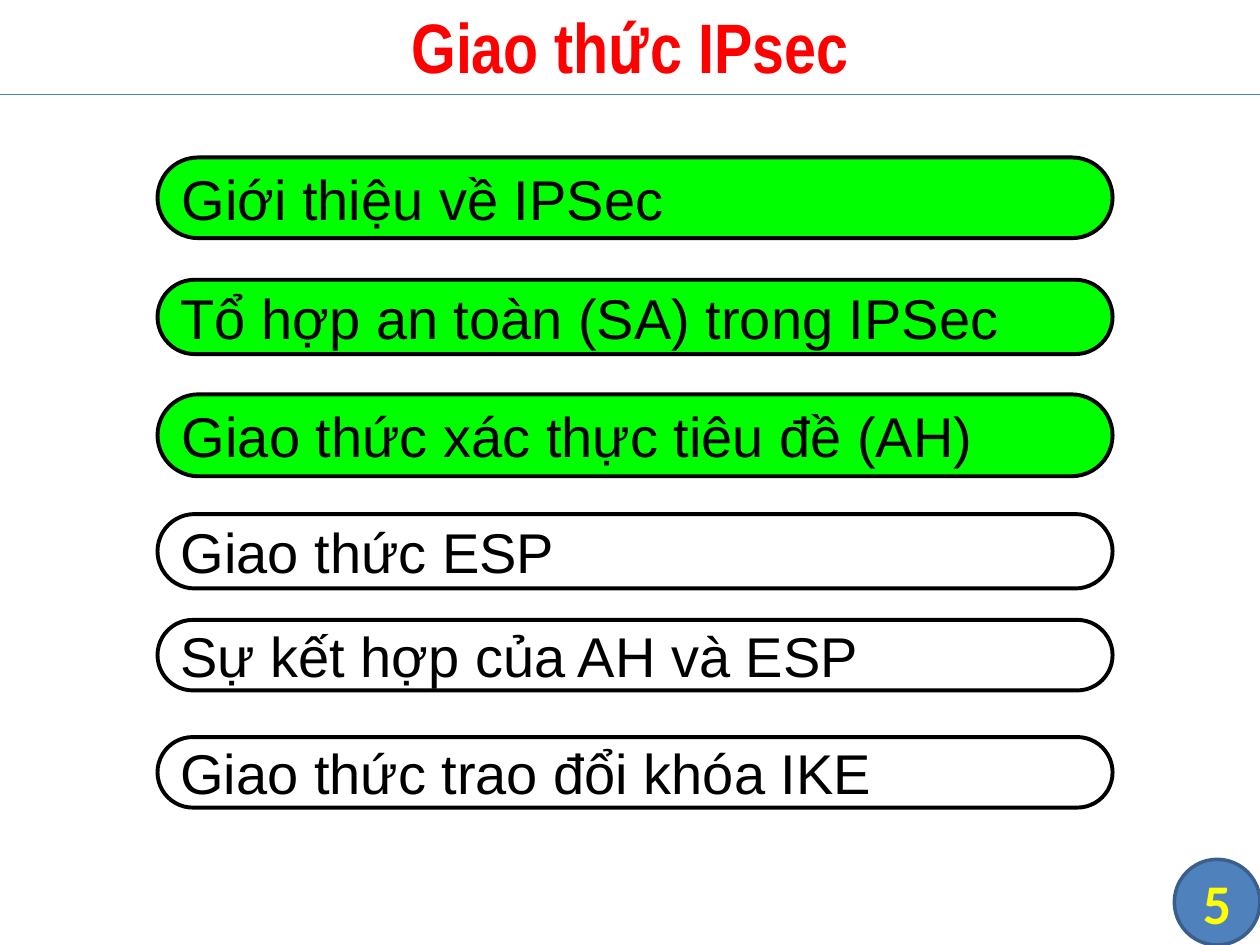
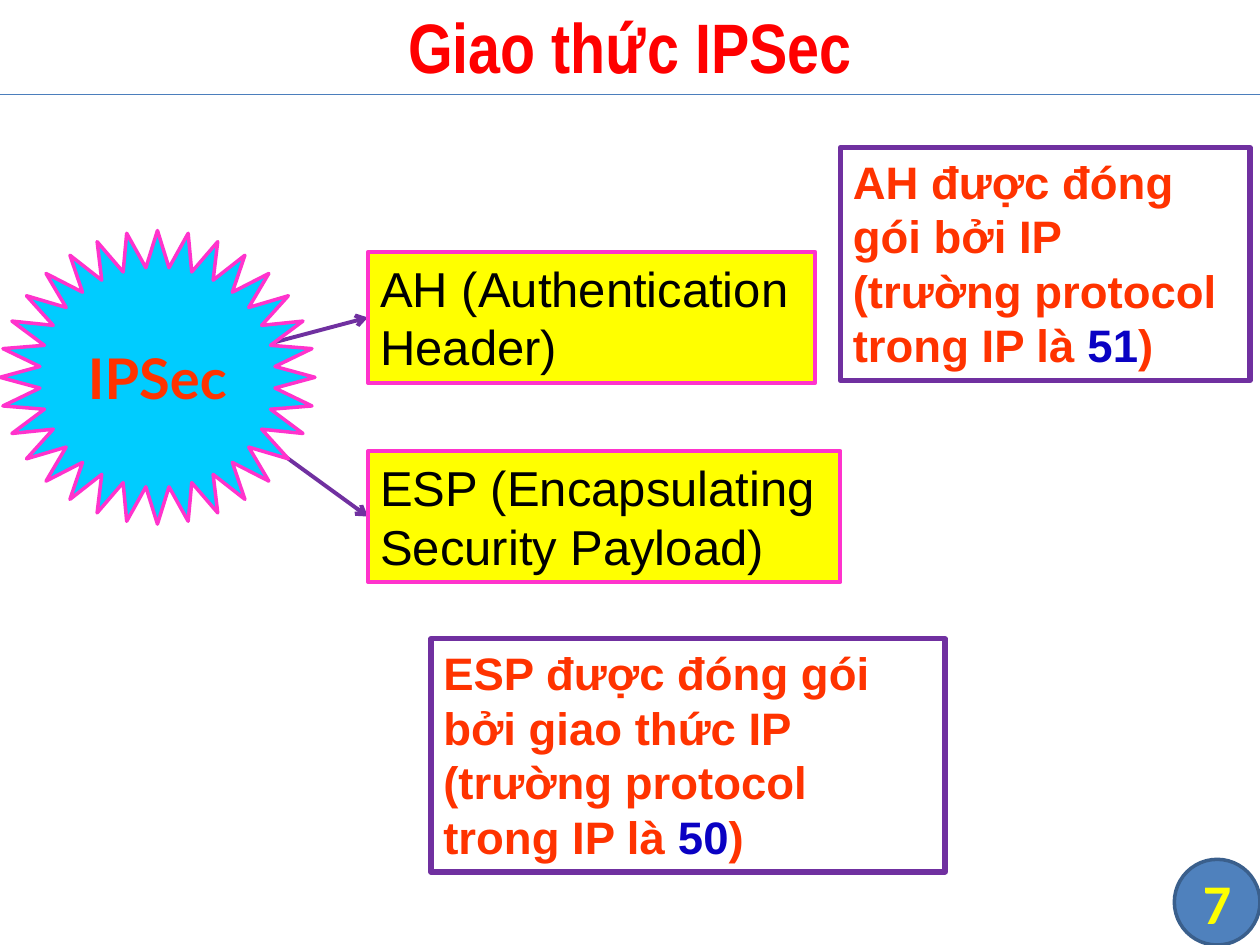
from lxml import etree
from pptx import Presentation
from pptx.dml.color import RGBColor
from pptx.enum import shapes, text
from pptx.oxml.ns import qn
from pptx.util import Inches, Pt

# Colours
RED = RGBColor(0xFF, 0x00, 0x00)
ORANGE = RGBColor(0xFF, 0x33, 0x00)
YELLOW = RGBColor(0xFF, 0xFF, 0x00)
GREEN = RGBColor(0x00, 0xFF, 0x00)
CYAN = RGBColor(0x00, 0xCC, 0xFF)
PINK = RGBColor(0xFF, 0x33, 0xCC)
PURPLE = RGBColor(0x70, 0x30, 0xA0)
NAVY = RGBColor(0x0A, 0x01, 0xC3)
BLUE = RGBColor(0x4F, 0x81, 0xBD)
RULE_BLUE = RGBColor(0x4B, 0x7E, 0xBC)
DARK_BLUE = RGBColor(0x3A, 0x5F, 0x8C)
BLACK = RGBColor(0x00, 0x00, 0x00)
WHITE = RGBColor(0xFF, 0xFF, 0xFF)

SHAPE = shapes.MSO_SHAPE
CENTER, LEFT = text.PP_ALIGN.CENTER, text.PP_ALIGN.LEFT
MIDDLE, TOP = text.MSO_ANCHOR.MIDDLE, text.MSO_ANCHOR.TOP

# Agenda: topic, top, height, already covered
AGENDA_TITLE, AGENDA_PAGE = "Giao thức IPsec", "5"
AGENDA_LEFT, AGENDA_WIDTH = 1.25, 7.58
AGENDA = [
    ("Giới thiệu về IPSec", 1.25, 0.64, True),
    ("Tổ hợp an toàn (SA) trong IPSec", 2.22, 0.59, True),
    ("Giao thức xác thực tiêu đề (AH)", 3.13, 0.65, True),
    ("Giao thức ESP", 4.08, 0.59, False),
    ("Sự kết hợp của AH và ESP", 4.92, 0.56, False),
    ("Giao thức trao đổi khóa IKE", 5.85, 0.56, False),
]

# Protocols: name and its box, start of its arrow, note pieces and their box
PARTS_TITLE, PARTS_PAGE = "Giao thức IPSec", "7"
HUB, HUB_BOX = "IPSec", (0, 1.83, 2.5, 2.33)
PROTOCOLS = [
    ("AH (Authentication Header)", (2.92, 2, 3.55, 1.04), (1.75, 2.83),
     ("AH được đóng gói bởi IP (trường protocol trong IP là ", "51", ")"),
     (6.67, 1.17, 3.25, 1.85)),
    ("ESP (Encapsulating Security Payload)", (2.92, 3.58, 3.75, 1.04), (1.75, 3.25),
     ("ESP được đóng gói bởi giao thức IP (trường protocol trong IP là ", "50", ")"),
     (3.42, 5.07, 4.08, 1.85)),
]


def write(shape, pieces, size, font, bold=False, align=LEFT, anchor=MIDDLE, insets=(0.1, 0.05)):
    """Fill a shape with one paragraph of (text, colour) pieces."""
    frame = shape.text_frame
    frame.word_wrap = True
    frame.vertical_anchor = anchor
    frame.margin_left = frame.margin_right = Inches(insets[0])
    frame.margin_top = frame.margin_bottom = Inches(insets[1])
    paragraph = frame.paragraphs[0]
    paragraph.alignment = align
    for words, colour in pieces:
        run = paragraph.add_run()
        run.text = words
        run.font.size, run.font.name, run.font.bold = Pt(size), font, bold
        run.font.color.rgb = colour


def add_box(slide, kind, box, fill, line, weight):
    shape = slide.shapes.add_shape(kind, *map(Inches, box))
    shape.shadow.inherit = False
    if fill is None:
        shape.fill.background()
    else:
        shape.fill.solid()
        shape.fill.fore_color.rgb = fill
    shape.line.color.rgb = line
    shape.line.width = Pt(weight)
    return shape


def add_line(slide, start, end, colour, weight, arrow=False):
    line = slide.shapes.add_connector(shapes.MSO_CONNECTOR.STRAIGHT, *map(Inches, start + end))
    line.line.color.rgb = colour
    line.line.width = Pt(weight)
    if arrow:
        etree.SubElement(line.line._get_or_add_ln(), qn("a:tailEnd"), type="arrow")
    etree.SubElement(line._element.spPr, qn("a:effectLst"))


def add_slide(deck, title, page):
    """Start a slide with the shared page badge, rule and title."""
    slide = deck.slides.add_slide(deck.slide_layouts[6])
    badge = add_box(slide, SHAPE.FLOWCHART_CONNECTOR, (9.32, 6.82, 0.68, 0.68), BLUE, DARK_BLUE, 2)
    write(badge, [(page, YELLOW)], 32, "Calibri", bold=True, align=CENTER, insets=(0, 0))
    add_line(slide, (0, 0.75), (10, 0.75), RULE_BLUE, 0.75)
    heading = slide.shapes.add_textbox(*map(Inches, (0, -0.03, 10, 0.78)))
    write(heading, [(title, RED)], 40, "Arial Narrow", bold=True, align=CENTER)
    return slide


def build_agenda(deck):
    slide = add_slide(deck, AGENDA_TITLE, AGENDA_PAGE)
    for topic, top, height, covered in AGENDA:
        pill = add_box(slide, SHAPE.ROUNDED_RECTANGLE, (AGENDA_LEFT, top, AGENDA_WIDTH, height),
                       GREEN if covered else None, BLACK, 2.25)
        pill.adjustments[0] = 0.5
        write(pill, [(topic, BLACK)], 32, "Arial", insets=(0.1, 0))


def build_protocols(deck):
    slide = add_slide(deck, PARTS_TITLE, PARTS_PAGE)
    # Arrows end at the middle of each protocol's left side
    for _, (left, top, _, height), start, _, _ in PROTOCOLS:
        add_line(slide, start, (left, top + height / 2), PURPLE, 2.25, arrow=True)
    hub = add_box(slide, SHAPE.STAR_32_POINT, HUB_BOX, CYAN, PINK, 2)
    write(hub, [(HUB, ORANGE)], 32, "Lato", bold=True, align=CENTER, insets=(0, 0))
    # Protocol boxes and their notes
    for name, name_box, _, note, note_box in PROTOCOLS:
        protocol = add_box(slide, SHAPE.RECTANGLE, name_box, YELLOW, PINK, 2.25)
        write(protocol, [(name, BLACK)], 28, "Arial", anchor=TOP)
        remark = add_box(slide, SHAPE.RECTANGLE, note_box, WHITE, PURPLE, 3)
        write(remark, zip(note, (ORANGE, NAVY, ORANGE)), 26, "Arial", bold=True, anchor=TOP)


def main():
    deck = Presentation()
    deck.slide_width, deck.slide_height = Inches(10), Inches(7.5)
    build_agenda(deck)
    build_protocols(deck)
    deck.save("out.pptx")


if __name__ == "__main__":
    main()
